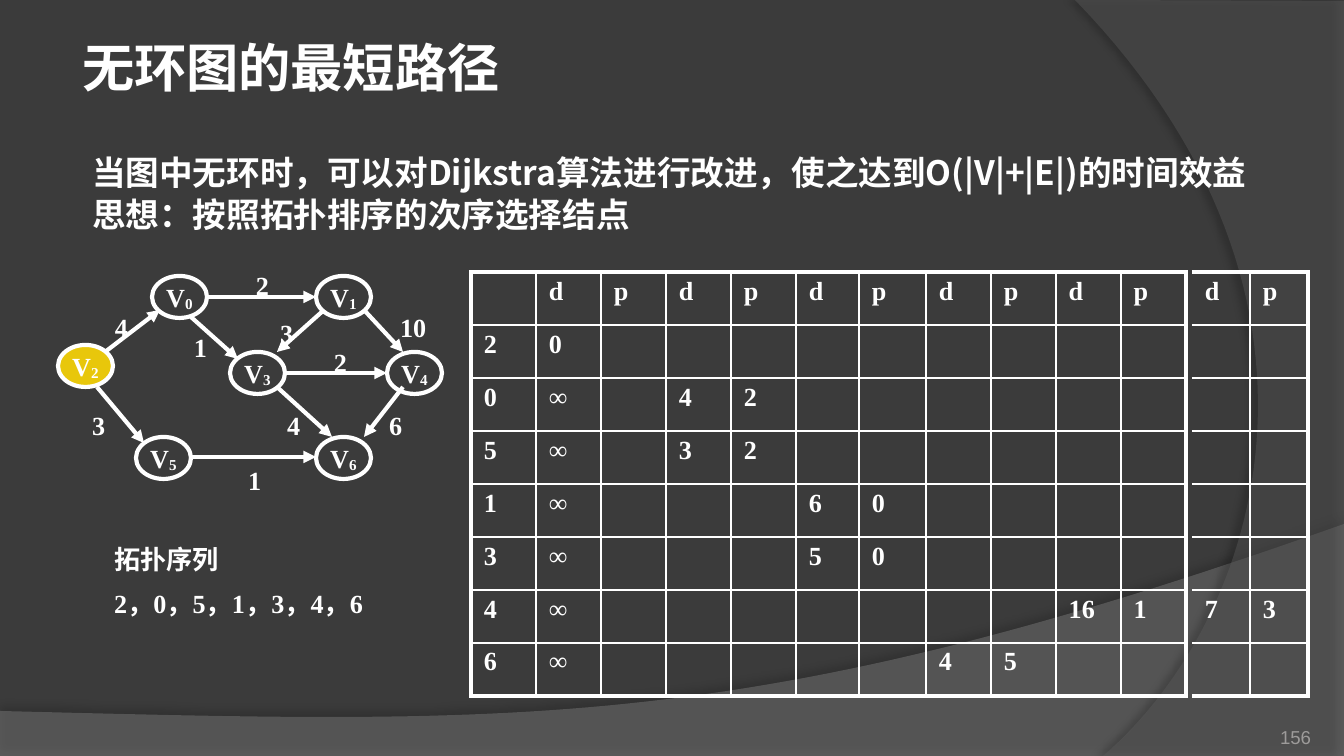
from lxml import etree
from pptx import Presentation
from pptx import util as u
from pptx.dml import color
from pptx.enum import shapes, text
from pptx.oxml import ns, parse_xml

PX = 914400 / 134.4
WHITE = "FFFFFF"
SANS = "Noto Sans CJK SC"
SERIF = "Times New Roman"
ALIGN = text.PP_ALIGN
ANCHOR = text.MSO_ANCHOR


def px(*vals):
    return [u.Emu(round(v * PX)) for v in vals]


def rgb(tint):
    return color.RGBColor.from_string(tint)


def write(frame, lines, size=14, font=SERIF, tint=WHITE, bold=True,
          align=ALIGN.LEFT, anchor=ANCHOR.TOP, wrap=True, inset=(13, 7),
          gap=0, sub=None):
    frame.auto_size = text.MSO_AUTO_SIZE.NONE
    frame.word_wrap = wrap
    frame.vertical_anchor = anchor
    frame.margin_left, frame.margin_top = px(*inset)
    frame.margin_right, frame.margin_bottom = px(*inset)
    for i, line in enumerate(lines):
        para = frame.add_paragraph() if i else frame.paragraphs[0]
        para.alignment = align
        para.line_spacing = 1.0
        para.space_before = u.Pt(gap if i else 0)
        props = para._p.get_or_add_pPr()
        props.set("marL", "0")
        props.set("indent", "0")
        etree.SubElement(props, ns.qn("a:buNone"))
        for part in [line, sub] if sub else [line]:
            run = para.add_run()
            run.text = part
            run.font.size = u.Pt(size)
            run.font.name = font
            run.font.bold = bold
            run.font.color.rgb = rgb(tint)
            face = etree.SubElement(run.font._element, ns.qn("a:ea"))
            face.set("typeface", SANS)
            if part is sub:
                run.font._element.set("baseline", "-10000")


def label(slide, box, lines, **style):
    shape = slide.shapes.add_textbox(*px(*box))
    write(shape.text_frame, lines, **style)


def place(shape, box, lines, **style):
    shape.left, shape.top, shape.width, shape.height = px(*box)
    write(shape.text_frame, lines, **style)


def bend(a, b, c, d, steps=60):
    for i in range(1, steps + 1):
        t = i / steps
        s = 1 - t
        yield tuple(s**3 * p + 3 * s * s * t * q + 3 * s * t * t * r + t**3 * e
                    for p, q, r, e in zip(a, b, c, d))


def wave(slide, box, sides, curve, tint, alpha, shade, dist, angle):
    x, y = box
    points = sides + list(bend(sides[-1], *curve))
    spots = [px(x + p, y + q) for p, q in points]
    build = slide.shapes.build_freeform(*spots[0], scale=1.0)
    build.add_line_segments(spots[1:], close=True)
    shape = build.convert_to_shape()
    shape.fill.solid()
    shape.fill.fore_color.rgb = rgb(tint)
    shape.line.fill.background()
    tone = shape._element.xpath("./p:spPr/a:solidFill/a:srgbClr")[0]
    etree.SubElement(tone, ns.qn("a:alpha")).set("val", str(alpha * 1000))
    shape._element.spPr.append(parse_xml(
        f'<a:effectLst {ns.nsdecls("a")}><a:outerShdw blurRad="50800" '
        f'dist="{u.Pt(dist)}" dir="{angle * 60000}" algn="ctr" rotWithShape="0">'
        f'<a:srgbClr val="000000"><a:alpha val="{shade * 1000}"/></a:srgbClr>'
        '</a:outerShdw></a:effectLst>'))
    slide.shapes.title._element.addprevious(shape._element)


def backdrop(slide):
    fill = slide.background.fill
    fill.solid()
    fill.fore_color.rgb = rgb("3B3B3B")
    wave(slide, (0, 524), [(0, 187), (0, 232), (1344, 232), (1344, 0)],
         [(751, 211), (526, 200), (0, 187)], "7F7F7F", 45, 35, 3.5, 270)
    wave(slide, (1075, 0), [(269, 1), (269, 756), (28, 756)],
         [(182, 624), (293, 302), (0, 0)], "5E5E5E", 40, 45, 4, 180)


def graph(slide, box):
    x, y = box
    nodes = {"2": (0, 83), "0": (94, 14), "5": (78, 175), "1": (258, 14),
             "3": (172, 90), "4": (329, 90), "6": (258, 175)}
    edges = [(47, 90, 102, 48), (149, 35, 258, 35), (39, 125, 86, 181),
             (133, 55, 180, 97), (266, 48, 219, 90), (306, 48, 345, 90),
             (219, 125, 274, 175), (227, 111, 329, 111),
             (345, 125, 306, 175), (133, 195, 258, 195)]
    costs = [("4", 57, 49), ("2", 198, 7), ("1", 136, 69), ("3", 34, 147),
             ("3", 222, 55), ("10", 342, 49), ("2", 276, 84),
             ("4", 229, 147), ("1", 190, 202), ("6", 331, 147)]
    for name, (dx, dy) in nodes.items():
        node = slide.shapes.add_shape(
            shapes.MSO_SHAPE.OVAL, *px(x + dx, y + dy, 55, 42))
        node.shadow.inherit = False
        if name == "2":
            node.fill.solid()
            node.fill.fore_color.rgb = rgb("E8C70B")
        else:
            node.fill.background()
        node.line.color.rgb = rgb(WHITE)
        node.line.width = u.Pt(2.25)
        write(node.text_frame, ["V"], sub=name, align=ALIGN.CENTER,
              anchor=ANCHOR.MIDDLE, wrap=False, inset=(0, 0))
    for ax, ay, bx, by in edges:
        edge = slide.shapes.add_connector(
            shapes.MSO_CONNECTOR.STRAIGHT, *px(x + ax, y + ay, x + bx, y + by))
        edge.line.color.rgb = rgb(WHITE)
        edge.line.width = u.Pt(2.25)
        tip = etree.SubElement(edge.line._get_or_add_ln(), ns.qn("a:tailEnd"))
        tip.set("type", "triangle")
        etree.SubElement(edge._element.spPr, ns.qn("a:effectLst"))
    for cost, dx, dy in costs:
        label(slide, (x + dx, y + dy, 35, 30), [cost], inset=(0, 0))


def border(cell, side, width):
    line = etree.SubElement(cell._tc.get_or_add_tcPr(), ns.qn(f"a:ln{side}"))
    line.set("w", str(u.Pt(width)))
    if not width:
        etree.SubElement(line, ns.qn("a:noFill"))
        return
    fill = etree.SubElement(line, ns.qn("a:solidFill"))
    etree.SubElement(fill, ns.qn("a:srgbClr")).set("val", WHITE)


def grid(slide, box, cols, data, left):
    x, y = box
    rows, high = 8, 53
    last = len(cols) - 1
    table = slide.shapes.add_table(
        rows, len(cols), *px(x, y, sum(cols), rows * high)).table
    table.first_row = table.horz_banding = False
    for c, wide in enumerate(cols):
        table.columns[c].width = px(wide)[0]
    for r in range(rows):
        table.rows[r].height = px(high)[0]
        for c in range(len(cols)):
            cell = table.cell(r, c)
            cell.margin_left, cell.margin_right = px(13, 13)
            cell.margin_top, cell.margin_bottom = px(5, 5)
            border(cell, "L", 1 if c else left)
            border(cell, "R", 2.25 if c == last else 1)
            border(cell, "T", 1 if r else 2.25)
            border(cell, "B", 2.25 if r == rows - 1 else 1)
            cell.fill.background()
            if (r, c) in data:
                write(cell.text_frame, [data[r, c]], inset=(13, 5),
                      bold=data[r, c] != "∞")


def steps(slide, box):
    x, y = box
    main = {(0, c): "dp"[(c + 1) % 2] for c in range(1, 11)}
    for r, name in enumerate("2051346", 1):
        main[r, 0] = name
        main[r, 1] = "0" if r == 1 else "∞"
    pairs = [(2, 3, "4", "2"), (3, 3, "3", "2"), (4, 5, "6", "0"),
             (5, 5, "5", "0"), (6, 9, "16", "1"), (7, 7, "4", "5")]
    for r, c, dist, prev in pairs:
        main[r, c], main[r, c + 1] = dist, prev
    grid(slide, (x, y), [65] * 5 + [63, 67] + [65] * 4, main, 2.25)
    tail = {(0, 0): "d", (0, 1): "p", (6, 0): "7", (6, 1): "3"}
    grid(slide, (x + 721, y), [58, 58], tail, 0)


def main():
    deck = Presentation()
    deck.slide_width, deck.slide_height = px(1344, 756)
    slide = deck.slides.add_slide(deck.slide_layouts[1])
    backdrop(slide)
    place(slide.shapes.title, (69, 28, 879, 77), ["无环图的最短路径"],
          size=28, font=SANS, anchor=ANCHOR.MIDDLE)
    place(slide.placeholders[1], (79, 145, 1249, 126),
          ["当图中无环时，可以对Dijkstra算法进行改进，使之达到O(|V|+|E|)的时间效益",
           "思想：按照拓扑排序的次序选择结点"], size=18, font=SANS, gap=1)
    label(slide, (1199, 708, 112, 40), ["156"], size=10, font="Arial",
          tint="9D9B9A", bold=False, align=ALIGN.RIGHT,
          anchor=ANCHOR.BOTTOM, inset=(0, 0))
    graph(slide, (58, 262))
    label(slide, (101, 536, 306, 93), ["拓扑序列", "2，0，5，1，3，4，6"], gap=7)
    steps(slide, (471, 272))
    deck.save("out.pptx")


if __name__ == "__main__":
    main()
